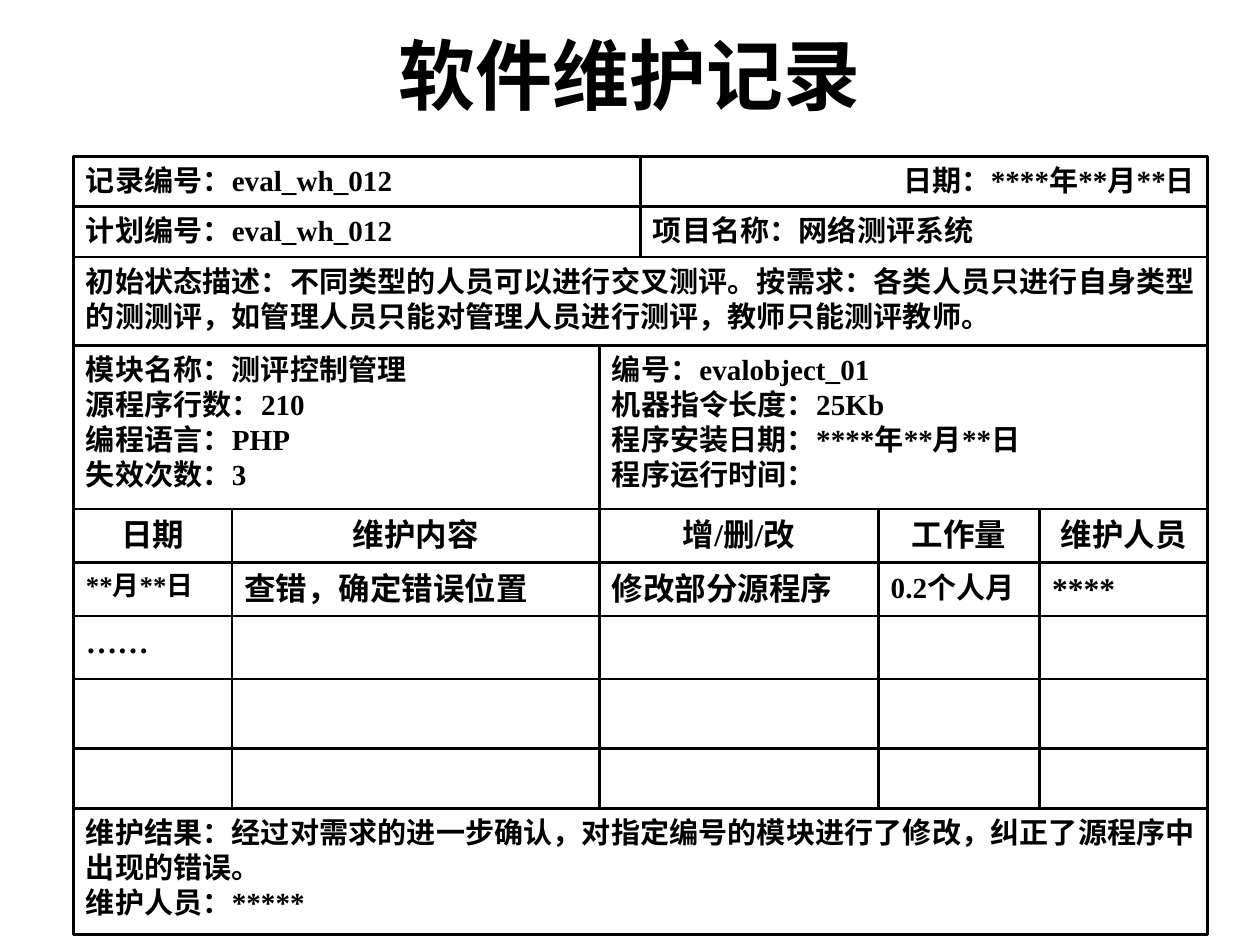
from dataclasses import dataclass
from itertools import accumulate

from lxml.etree import SubElement
from pptx import Presentation
from pptx.dml.color import RGBColor
from pptx.enum.shapes import MSO_CONNECTOR as Connector, MSO_SHAPE as Shape
from pptx.enum.text import MSO_ANCHOR as Anchor, PP_ALIGN as Align
from pptx.oxml.ns import qn
from pptx.util import Pt


@dataclass(frozen=True)
class Theme:
    font: str = "Times New Roman"
    ink: RGBColor = RGBColor(0, 0, 0)
    title: float = 44
    label: float = 18
    body: float = 16.65
    small: float = 15.3
    border: float = 1.5


THEME = Theme()
COLUMN_WIDTHS = [90.6, 210, 23.4, 135.9, 92.2, 95.9]
ROW_HEIGHTS = [28.8, 28.8, 50.4, 93.6, 30.7, 30.5, 35.9, 39.7, 34.4, 72]

HALVES = [(0, 3), (3, 6)]
FULL = [(0, 6)]
MODULE = [(0, 2), (2, 6)]
LOG = [(0, 1), (1, 2), (2, 4), (4, 5), (5, 6)]
ROW_SPANS = [HALVES, HALVES, FULL, MODULE, *[LOG] * 5, FULL]

ROW_TEXTS = [
    ["记录编号：eval_wh_012", "日期：****年**月**日"],
    ["计划编号：eval_wh_012", "项目名称：网络测评系统"],
    ["初始状态描述：不同类型的人员可以进行交叉测评。按需求：各类人员只进行自身类型的测测评，"
     "如管理人员只能对管理人员进行测评，教师只能测评教师。"],
    ["模块名称：测评控制管理\n源程序行数：210\n编程语言：PHP\n失效次数：3",
     "编号：evalobject_01\n机器指令长度：25Kb\n程序安装日期：****年**月**日\n程序运行时间："],
    ["日期", "维护内容", "增/删/改", "工作量", "维护人员"],
    ["**月**日", "查错，确定错误位置", "修改部分源程序", "0.2个人月", "****"],
    ["……", "", "", "", ""],
    [""] * 5,
    [""] * 5,
    ["维护结果：经过对需求的进一步确认，对指定编号的模块进行了修改，纠正了源程序中出现的错误。\n"
     "维护人员：*****"],
]
HEADER_ROW = 4
STATUS_ROW = 2
LOG_ROWS = range(HEADER_ROW, 9)
SIZE_EXCEPTIONS = {(5, 0): THEME.small, (5, 3): THEME.body}

HORIZONTAL_RULES = [10, 1, 2, 3, 4, 5, 6, 7, 8, 9]
VERTICAL_RULES = [(0, 1, 10), (6, 1, 10), (3, 1, 2), (2, 3, 9),
                  (1, 4, 9), (4, 4, 9), (5, 4, 9)]


def write_text(text_frame, text, size, align, anchor=Anchor.TOP):
    text_frame.word_wrap = True
    text_frame.vertical_anchor = anchor
    text_frame.text = text
    for paragraph in text_frame.paragraphs:
        paragraph.alignment = align
        font = paragraph.font
        font.name, font.size, font.bold = THEME.font, Pt(size), True
        font.color.rgb = THEME.ink


def style_line(line):
    line.color.rgb = THEME.ink
    line.width = Pt(THEME.border)


def add_title(slide, left, top, width, height):
    box = slide.shapes.add_textbox(Pt(left), Pt(top), Pt(width), Pt(height))
    write_text(box.text_frame, "软件维护记录", THEME.title, Align.CENTER, Anchor.MIDDLE)


def cell_style(row, position):
    size = THEME.label if row in LOG_ROWS else THEME.body
    size = SIZE_EXCEPTIONS.get((row, position), size)
    if row == HEADER_ROW:
        return size, Align.CENTER
    return size, Align.RIGHT if (row, position) == (0, 1) else Align.LEFT


def add_cell(shapes, left, top, right, bottom):
    cell = shapes.add_shape(
        Shape.RECTANGLE, Pt(left), Pt(top), Pt(right - left), Pt(bottom - top))
    cell.shadow.inherit = False
    cell.fill.background()
    style_line(cell.line)
    return cell


def add_rule(shapes, x1, y1, x2, y2):
    rule = shapes.add_connector(Connector.STRAIGHT, Pt(x1), Pt(y1), Pt(x2), Pt(y2))
    style_line(rule.line)
    SubElement(rule._element.spPr, qn("a:effectLst"))
    return rule


def add_record(slide, left, top):
    shapes = slide.shapes.add_group_shape().shapes
    xs = list(accumulate(COLUMN_WIDTHS, initial=left))
    ys = list(accumulate(ROW_HEIGHTS, initial=top))
    cells = {}
    for row in reversed(range(len(ROW_HEIGHTS))):
        entries = list(enumerate(zip(ROW_SPANS[row], ROW_TEXTS[row])))
        for position, ((first, last), text) in reversed(entries):
            cell = add_cell(shapes, xs[first], ys[row], xs[last], ys[row + 1])
            cells[row, position] = cell
            if text:
                write_text(cell.text_frame, text, *cell_style(row, position))
    for row in HORIZONTAL_RULES:
        add_rule(shapes, xs[0], ys[row], xs[-1], ys[row])
    for column, first, last in VERTICAL_RULES:
        rule = add_rule(shapes, xs[column], ys[first], xs[column], ys[last])
        if last == STATUS_ROW:
            rule.end_connect(cells[STATUS_ROW, 0], 0)


def main():
    presentation = Presentation()
    presentation.slide_width, presentation.slide_height = Pt(720), Pt(540)
    slide = presentation.slides.add_slide(presentation.slide_layouts[6])
    add_title(slide, 54, 12, 612, 60)
    add_record(slide, 42, 89.3)
    presentation.save("out.pptx")


if __name__ == "__main__":
    main()
